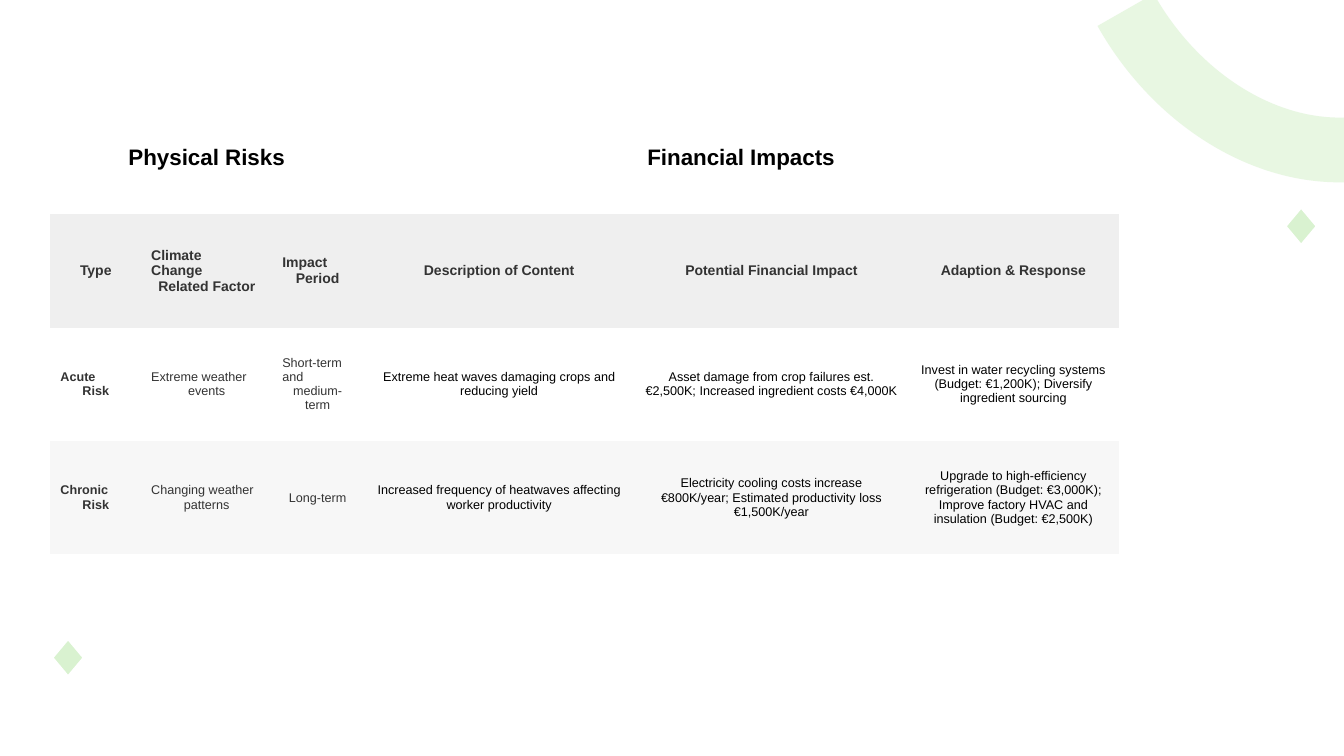
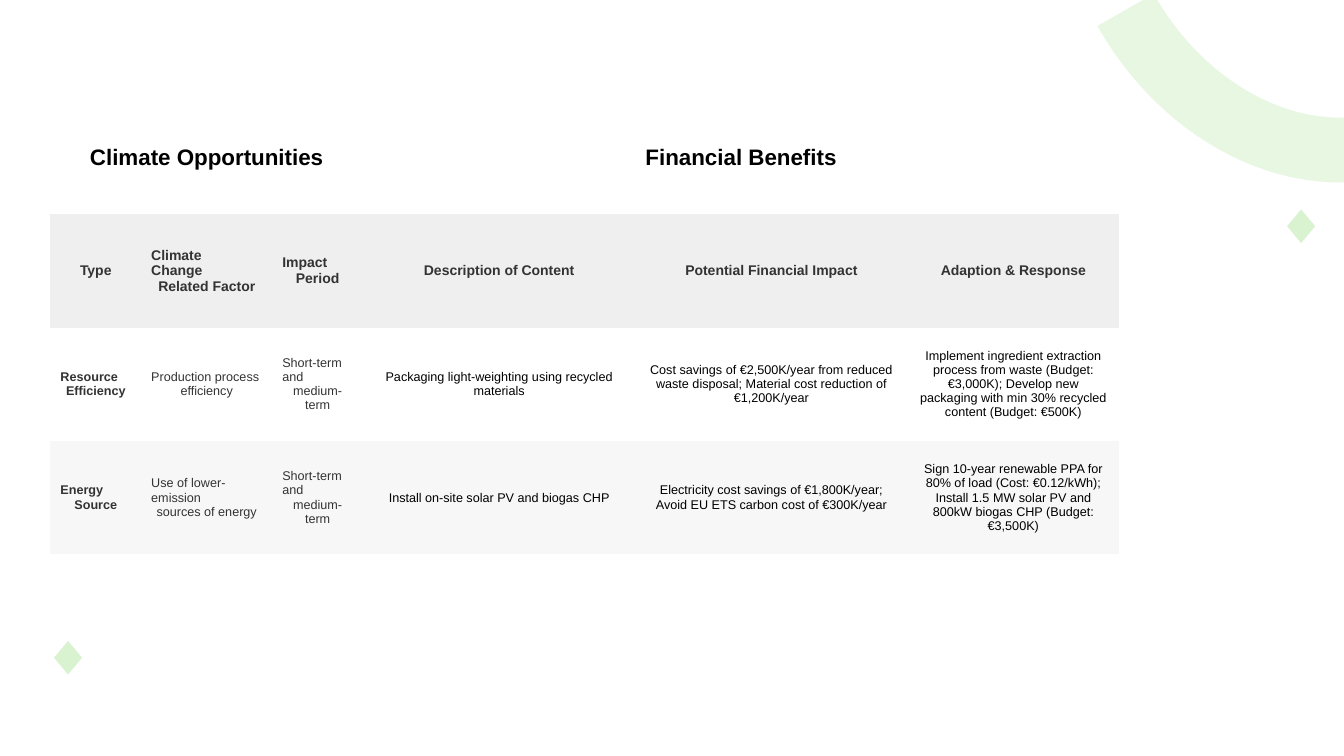
from lxml import etree
from pptx import Presentation
from pptx.dml.color import RGBColor
from pptx.enum.shapes import MSO_SHAPE
from pptx.enum.text import MSO_ANCHOR, PP_ALIGN
from pptx.oxml.ns import qn
from pptx.util import Pt

PX = 9144
FONT = "Arial"
COLORS = {
    "white": "FFFFFF", "mint": "D9F2D0", "black": "000000",
    "ink": "333333", "header": "EFEFEF", "band": "F7F7F7",
}
ARC, DIAMOND = MSO_SHAPE.ARC, MSO_SHAPE.DIAMOND
LEFT, CENTER = PP_ALIGN.LEFT, PP_ALIGN.CENTER
MIDDLE = MSO_ANCHOR.MIDDLE
NO_GRID_STYLE = "{2D5ABB26-0587-4C30-8999-92F81FD0307C}"

COL_WIDTHS = [90, 130, 90, 270, 270, 210]
HALF = len(COL_WIDTHS) // 2
HEADINGS = [
    "Type", "Climate\nChange\nRelated Factor", "Impact\nPeriod",
    "Description of Content", "Potential Financial Impact", "Adaption & Response",
]
SHORT_MEDIUM = "Short-term\nand\nmedium-term"
SLIDES = [
    (["Physical Risks", "Financial Impacts"], [
        ["Acute\nRisk", "Extreme weather\nevents", SHORT_MEDIUM,
         "Extreme heat waves damaging crops and reducing yield",
         "Asset damage from crop failures est. €2,500K; Increased ingredient costs €4,000K",
         "Invest in water recycling systems (Budget: €1,200K); Diversify ingredient sourcing"],
        ["Chronic\nRisk", "Changing weather\npatterns", "Long-term",
         "Increased frequency of heatwaves affecting worker productivity",
         "Electricity cooling costs increase €800K/year; "
         "Estimated productivity loss €1,500K/year",
         "Upgrade to high-efficiency refrigeration (Budget: €3,000K); "
         "Improve factory HVAC and insulation (Budget: €2,500K)"],
    ]),
    (["Climate Opportunities", "Financial Benefits"], [
        ["Resource\nEfficiency", "Production process\nefficiency", SHORT_MEDIUM,
         "Packaging light-weighting using recycled materials",
         "Cost savings of €2,500K/year from reduced waste disposal; "
         "Material cost reduction of €1,200K/year",
         "Implement ingredient extraction process from waste (Budget: €3,000K); "
         "Develop new packaging with min 30% recycled content (Budget: €500K)"],
        ["Energy\nSource", "Use of lower-emission\nsources of energy", SHORT_MEDIUM,
         "Install on-site solar PV and biogas CHP",
         "Electricity cost savings of €1,800K/year; Avoid EU ETS carbon cost of €300K/year",
         "Sign 10-year renewable PPA for 80% of load (Cost: €0.12/kWh); "
         "Install 1.5 MW solar PV and 800kW biogas CHP (Budget: €3,500K)"],
    ]),
]


def rgb(name):
    """Return the named palette colour."""
    return RGBColor.from_string(COLORS[name])


def add_shape(s, kind, box, line, width):
    """Add a shadowless preset shape with the given outline."""
    sp = s.shapes.add_shape(kind, *(v * PX for v in box))
    sp.shadow.inherit = False
    sp.line.color.rgb = rgb(line)
    sp.line.width = Pt(width)
    return sp


def add_arc(s):
    """Add the thick translucent arc in the top right corner."""
    sp = add_shape(s, ARC, (1090, -338, 400, 497), "mint", 46.25)
    sp.fill.background()
    sp.rotation = 151.3
    sp.adjustments[0], sp.adjustments[1] = 152.05, 215.37
    color = next(sp.line._ln.iter(qn("a:srgbClr")))
    etree.SubElement(color, qn("a:alpha"), val="60000")
    return sp


def add_diamond(s, x, y):
    """Add a small mint diamond."""
    sp = add_shape(s, DIAMOND, (x, y, 31, 37), "white", 1.5)
    sp.fill.solid()
    sp.fill.fore_color.rgb = rgb("mint")
    return sp


def decorate_layout(s, layout):
    """Move the shared decoration from a slide to its layout."""
    for holder in list(layout.placeholders):
        layout.shapes.element.remove(holder.element)
    for sp in [add_arc(s), add_diamond(s, 1275, 206), add_diamond(s, 52, 634)]:
        layout.shapes.element.append(sp.element)


def fill_cell(cell, text, size, color, fill, bold):
    """Write a cell whose last line is centred and earlier lines are left-aligned."""
    cell.fill.solid()
    cell.fill.fore_color.rgb = rgb(fill)
    cell.vertical_anchor = MIDDLE
    tf = cell.text_frame
    tf.text = text
    for p in tf.paragraphs:
        p.alignment = LEFT
        p.font.name = FONT
        p.font.size = Pt(size)
        p.font.bold = bold
        p.font.color.rgb = rgb(color)
    tf.paragraphs[-1].alignment = CENTER


def add_climate_table(s, titles, rows):
    """Add the table with two merged titles, headings and body rows."""
    frame = s.shapes.add_table(len(rows) + 2, len(COL_WIDTHS), 50 * PX, 100 * PX,
                               sum(COL_WIDTHS) * PX, 450 * PX)
    next(frame.element.iter(qn("a:tableStyleId"))).text = NO_GRID_STYLE
    table = frame.table
    table.first_row = table.horz_banding = False
    for column, width in zip(table.columns, COL_WIDTHS):
        column.width = width * PX
    for i, title in enumerate(titles):
        cell = table.cell(0, i * HALF)
        cell.merge(table.cell(0, (i + 1) * HALF - 1))
        fill_cell(cell, title, 16, "black", "white", True)
    for c, heading in enumerate(HEADINGS):
        fill_cell(table.cell(1, c), heading, 10, "ink", "header", True)
    for r, row in enumerate(rows):
        for c, text in enumerate(row):
            fill_cell(table.cell(r + 2, c), text, 9, "ink" if c < HALF else "black",
                      "band" if r % 2 else "white", c == 0)


def main():
    """Build and save the presentation."""
    prs = Presentation()
    prs.slide_width, prs.slide_height = 1333 * PX, 750 * PX
    layout = prs.slide_layouts[6]
    for i, (titles, rows) in enumerate(SLIDES):
        s = prs.slides.add_slide(layout)
        if i == 0:
            decorate_layout(s, layout)
        add_climate_table(s, titles, rows)
    prs.save("out.pptx")


if __name__ == "__main__":
    main()
